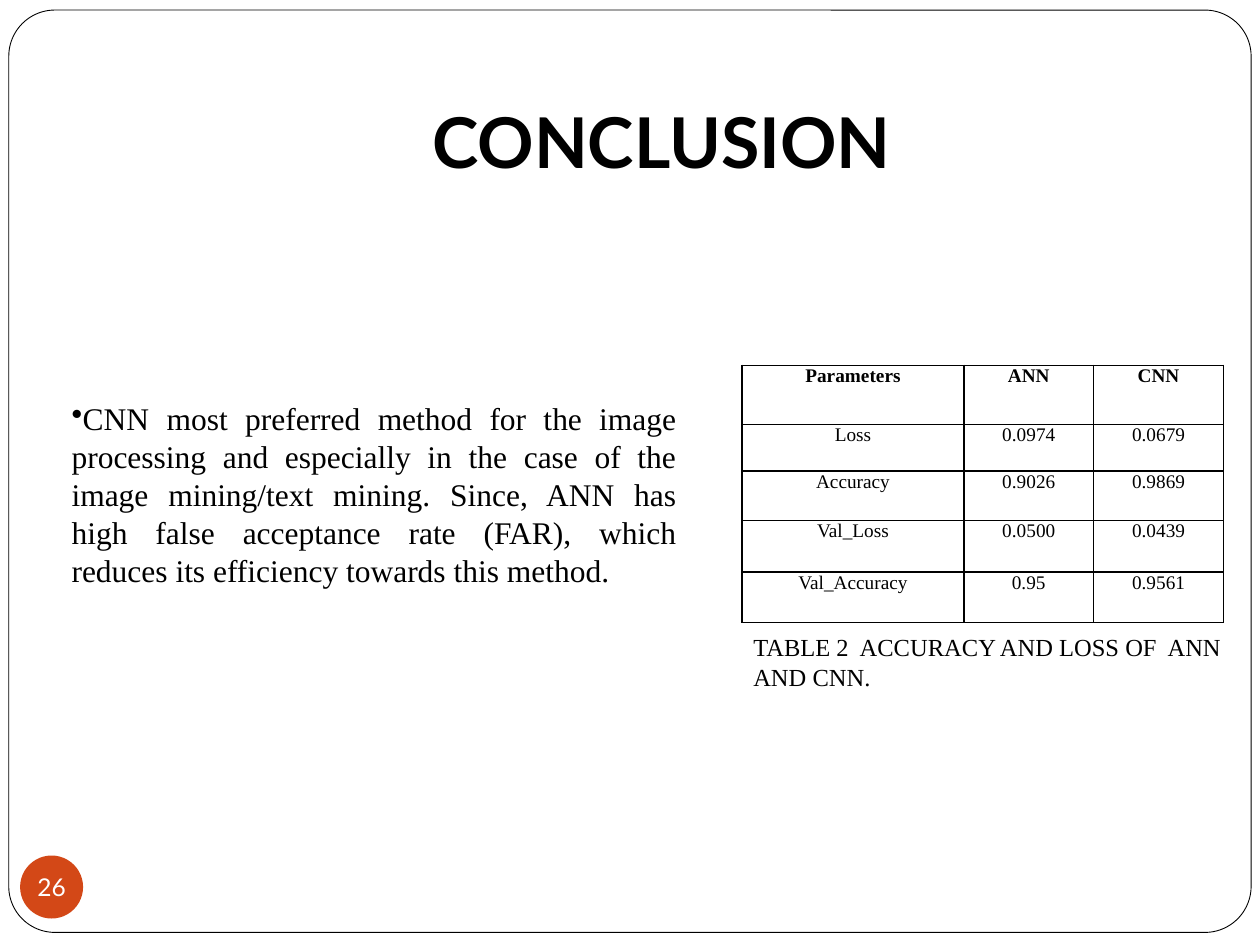
import pptx
import pptx.util
import pptx.dml.color
import pptx.enum.shapes
import pptx.enum.text
import pptx.oxml
import pptx.oxml.ns
from dataclasses import dataclass

Inches = pptx.util.Inches
Pt = pptx.util.Pt
RGB = pptx.dml.color.RGBColor.from_string
Shape = pptx.enum.shapes.MSO_SHAPE
Align = pptx.enum.text.PP_ALIGN
Anchor = pptx.enum.text.MSO_ANCHOR


@dataclass(frozen=True)
class Theme:
    ink: str = "000000"
    paper: str = "FFFFFF"
    badge: str = "D34817"
    head: str = "Lato"
    body: str = "Times New Roman"
    title: int = 40
    text: int = 18
    note: int = 14
    cell: int = 11


THEME = Theme()

ROWS = [
    ("Parameters", "ANN", "CNN"),
    ("Loss", "0.0974", "0.0679"),
    ("Accuracy", "0.9026", "0.9869"),
    ("Val_Loss", "0.0500", "0.0439"),
    ("Val_Accuracy", "0.95", "0.9561"),
]
WIDTHS = (1.76, 1.03, 1.03)
HEIGHTS = (0.47, 0.37, 0.39, 0.41, 0.4)
POINT = (
    "CNN most preferred method for the image processing and especially in "
    "the case of the image mining/text mining. Since, ANN has high false "
    "acceptance rate (FAR), which reduces its efficiency towards this method."
)


def write(frame, text, size, face, color=THEME.ink, align=Align.LEFT,
          bold=False, bullet=False):
    frame.text = text
    para = frame.paragraphs[0]
    para.alignment = align
    if bullet:
        mark = pptx.oxml.parse_xml(
            f'<a:buChar {pptx.oxml.ns.nsdecls("a")} char="•"/>')
        para._p.get_or_add_pPr().append(mark)
    font = para.runs[0].font
    font.name = face
    font.size = Pt(size)
    font.bold = bold
    font.color.rgb = RGB(color)


def add_text(slide, box, text, size, face, **style):
    frame = slide.shapes.add_textbox(*map(Inches, box)).text_frame
    frame.word_wrap = True
    write(frame, text, size, face, **style)
    return frame


def add_shape(slide, kind, box, fill):
    shape = slide.shapes.add_shape(kind, *map(Inches, box))
    shape.shadow.inherit = False
    shape.fill.solid()
    shape.fill.fore_color.rgb = RGB(fill)
    return shape


def add_frame(slide):
    frame = add_shape(slide, Shape.ROUNDED_RECTANGLE,
                      (0.07, 0.08, 9.86, 7.32), THEME.paper)
    frame.adjustments[0] = 0.05
    frame.line.color.rgb = RGB(THEME.ink)
    frame.line.width = Pt(0.5)


def add_badge(slide, text):
    badge = add_shape(slide, Shape.OVAL, (0.16, 6.79, 0.5, 0.5), THEME.badge)
    badge.line.fill.background()
    frame = badge.text_frame
    frame.margin_left = frame.margin_right = 0
    frame.margin_top = frame.margin_bottom = 0
    frame.word_wrap = False
    frame.vertical_anchor = Anchor.MIDDLE
    write(frame, text, THEME.note, THEME.head, THEME.paper, Align.CENTER)


def add_edges(cell):
    """Draw a thin line on all four sides of a cell."""
    props = cell._tc.get_or_add_tcPr()
    for spot, side in enumerate(("lnL", "lnR", "lnT", "lnB")):
        props.insert(spot, pptx.oxml.parse_xml(
            f'<a:{side} {pptx.oxml.ns.nsdecls("a")} w="{Pt(1)}">'
            f'<a:solidFill><a:srgbClr val="{THEME.ink}"/></a:solidFill>'
            f'</a:{side}>'))


def add_grid(slide):
    table = slide.shapes.add_table(
        len(ROWS), len(WIDTHS), Inches(5.89), Inches(2.9),
        Inches(sum(WIDTHS)), Inches(sum(HEIGHTS))).table
    table.horz_banding = False
    for col, width in zip(table.columns, WIDTHS):
        col.width = Inches(width)
    for row, height in zip(table.rows, HEIGHTS):
        row.height = Inches(height)
    for r, values in enumerate(ROWS):
        for c, value in enumerate(values):
            cell = table.cell(r, c)
            cell.margin_left = cell.margin_right = Inches(0.06)
            cell.margin_top = cell.margin_bottom = 0
            cell.fill.background()
            add_edges(cell)
            write(cell.text_frame, value, THEME.cell, THEME.body,
                  align=Align.CENTER, bold=r == 0)


def main():
    deck = pptx.Presentation()
    deck.slide_width, deck.slide_height = Inches(10), Inches(7.5)
    slide = deck.slides.add_slide(deck.slide_layouts[6])

    add_frame(slide)
    title = add_text(slide, (1, 0.3, 8.5, 1.25), "CONCLUSION", THEME.title,
                     THEME.head, align=Align.CENTER, bold=True)
    title.vertical_anchor = Anchor.BOTTOM
    title.margin_bottom = Inches(0.1)
    add_grid(slide)
    add_text(slide, (5.88, 4.97, 3.92, 0.88),
             "TABLE 2  ACCURACY AND LOSS OF  ANN AND CNN.",
             THEME.note, THEME.body)
    add_text(slide, (0.47, 3.12, 5, 1.62), POINT, THEME.text, THEME.body,
             align=Align.JUSTIFY, bullet=True)
    add_badge(slide, "26")

    deck.save("out.pptx")


if __name__ == "__main__":
    main()
